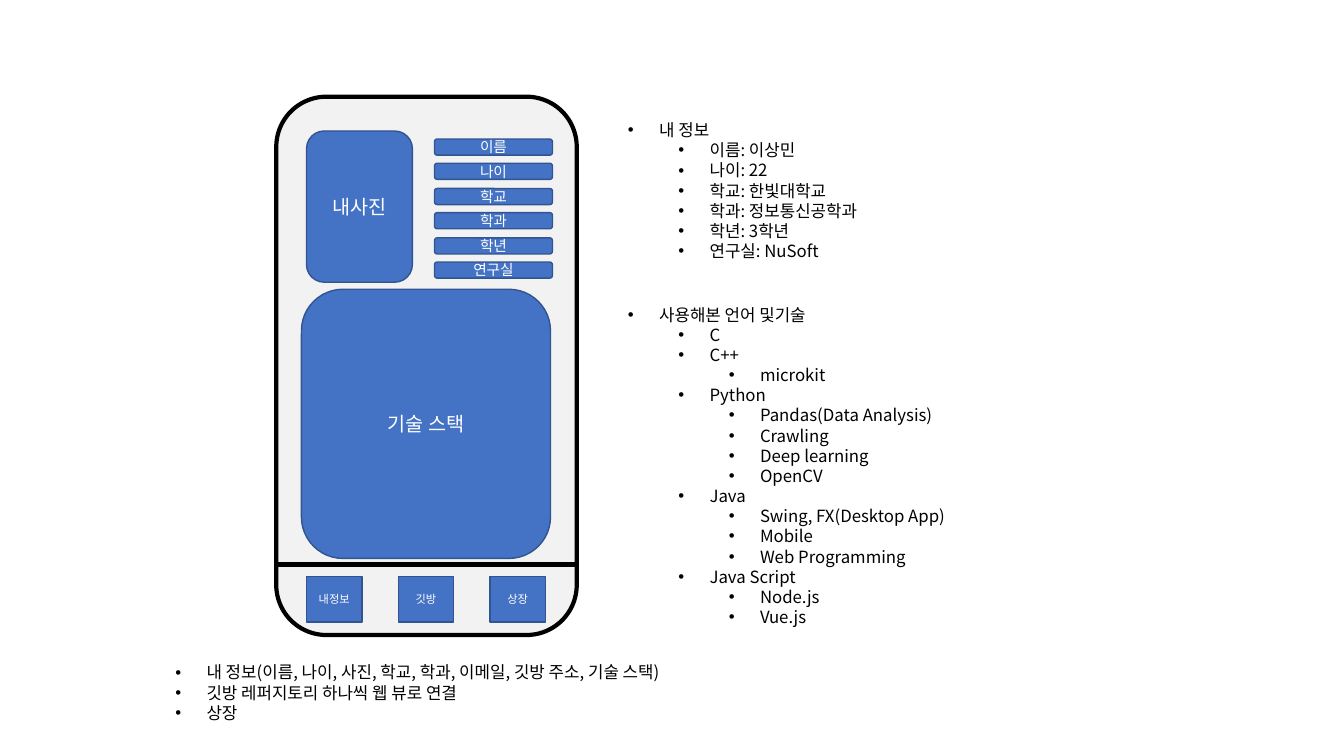
from dataclasses import dataclass

from lxml import etree
from pptx import Presentation
from pptx.dml.color import RGBColor
from pptx.enum.shapes import MSO_CONNECTOR, MSO_SHAPE
from pptx.enum.text import MSO_ANCHOR, MSO_AUTO_SIZE, PP_ALIGN
from pptx.oxml.ns import qn
from pptx.util import Emu, Pt

RECT = MSO_SHAPE.RECTANGLE
ROUNDED = MSO_SHAPE.ROUNDED_RECTANGLE
STRAIGHT = MSO_CONNECTOR.STRAIGHT
CENTER = PP_ALIGN.CENTER
MIDDLE = MSO_ANCHOR.MIDDLE
FIT_SHAPE = MSO_AUTO_SIZE.SHAPE_TO_FIT_TEXT

FONT = "Noto Sans CJK KR"
BLACK, WHITE = "000000", "FFFFFF"
BODY, BLUE, NAVY = "F2F2F2", "4472C4", "325491"


@dataclass
class Box:
    x: int
    y: int
    w: int
    h: int
    text: str = ""
    size: float = 14
    kind: MSO_SHAPE = ROUNDED
    fill: str = BLUE
    line: str = NAVY
    weight: float = 1


@dataclass
class BulletList:
    x: int
    y: int
    w: int
    h: int
    items: list[tuple[int, str]]


def px(n: int) -> Emu:
    """100 px to the inch."""
    return Emu(n * 9144)


def rgb(color: str) -> RGBColor:
    return RGBColor.from_string(color)


def add_run(p, text: str, size: float, color: str) -> None:
    r = p.add_run()
    r.text = text
    r.font.size = Pt(size)
    r.font.color.rgb = rgb(color)
    r.font.name = FONT
    etree.SubElement(r.font._element, qn("a:ea"), typeface=FONT)


def add_box(shapes, box: Box) -> None:
    sp = shapes.add_shape(box.kind, px(box.x), px(box.y), px(box.w), px(box.h))
    sp.shadow.inherit = False
    sp.fill.solid()
    sp.fill.fore_color.rgb = rgb(box.fill)
    sp.line.color.rgb = rgb(box.line)
    sp.line.width = Pt(box.weight)
    if box.text:
        tf = sp.text_frame
        tf.vertical_anchor = MIDDLE
        p = tf.paragraphs[0]
        p.alignment = CENTER
        add_run(p, box.text, box.size, WHITE)


def add_divider(shapes, x1: int, x2: int, y: int) -> None:
    line = shapes.add_connector(STRAIGHT, px(x1), px(y), px(x2), px(y))
    line.line.color.rgb = rgb(BLACK)
    line.line.width = Pt(3)
    etree.SubElement(line._element.spPr, qn("a:effectLst"))


def add_list(shapes, lst: BulletList) -> None:
    tb = shapes.add_textbox(px(lst.x), px(lst.y), px(lst.w), px(lst.h))
    tf = tb.text_frame
    tf.word_wrap = True
    tf.auto_size = FIT_SHAPE
    for i, (level, text) in enumerate(lst.items):
        p = tf.paragraphs[0] if i == 0 else tf.add_paragraph()
        p.level = level
        p.line_spacing = Pt(14.4)
        pPr = p._p.get_or_add_pPr()
        pPr.set("marL", str(px(31 + 50 * level)))
        pPr.set("indent", str(px(-31)))
        etree.SubElement(pPr, qn("a:buFont"), typeface="Arial")
        etree.SubElement(pPr, qn("a:buChar"), char="•")
        add_run(p, text, 12, BLACK)


# Phone mock-up
PHONE = Box(274, 96, 298, 534, fill=BODY, line=BLACK, weight=3)
TABS = [Box(304 + 91 * i, 572, 55, 45, text, 8, RECT)
        for i, text in enumerate(["내정보", "깃방", "상장"])]
PHOTO = Box(304, 130, 105, 150, "내사진")
FIELDS = [Box(431, round(138 + 24.4 * i), 117, 16, text, 10.5)
          for i, text in enumerate(["이름", "나이", "학교", "학과", "학년", "연구실"])]
STACK = Box(299, 287, 247, 267, "기술 스택")

# Bulleted notes as (level, text)
LISTS = [
    BulletList(164, 652, 551, 71, [
        (0, "내 정보(이름, 나이, 사진, 학교, 학과, 이메일, 깃방 주소, 기술 스택)"),
        (0, "깃방 레퍼지토리 하나씩 웹 뷰로 연결"),
        (0, "상장"),
    ]),
    BulletList(613, 114, 263, 151, [
        (0, "내 정보"),
        (1, "이름: 이상민"),
        (1, "나이: 22"),
        (1, "학교: 한빛대학교"),
        (1, "학과: 정보통신공학과"),
        (1, "학년: 3학년"),
        (1, "연구실: NuSoft"),
    ]),
    BulletList(613, 297, 337, 333, [
        (0, "사용해본 언어 및기술"),
        (1, "C"),
        (1, "C++"),
        (2, "microkit"),
        (1, "Python"),
        (2, "Pandas(Data Analysis)"),
        (2, "Crawling"),
        (2, "Deep learning"),
        (2, "OpenCV"),
        (1, "Java"),
        (2, "Swing, FX(Desktop App)"),
        (2, "Mobile"),
        (2, "Web Programming"),
        (1, "Java Script"),
        (2, "Node.js"),
        (2, "Vue.js"),
    ]),
]


def main() -> None:
    prs = Presentation()
    prs.slide_width, prs.slide_height = px(1333), px(750)
    s = prs.slides.add_slide(prs.slide_layouts[6])

    phone = s.shapes.add_group_shape().shapes
    add_box(phone, PHONE)
    add_divider(phone, PHONE.x, PHONE.x + PHONE.w, 560)
    for box in [*TABS, PHOTO, *FIELDS, STACK]:
        add_box(phone, box)

    for lst in LISTS:
        add_list(s.shapes, lst)

    prs.save("out.pptx")


if __name__ == "__main__":
    main()
